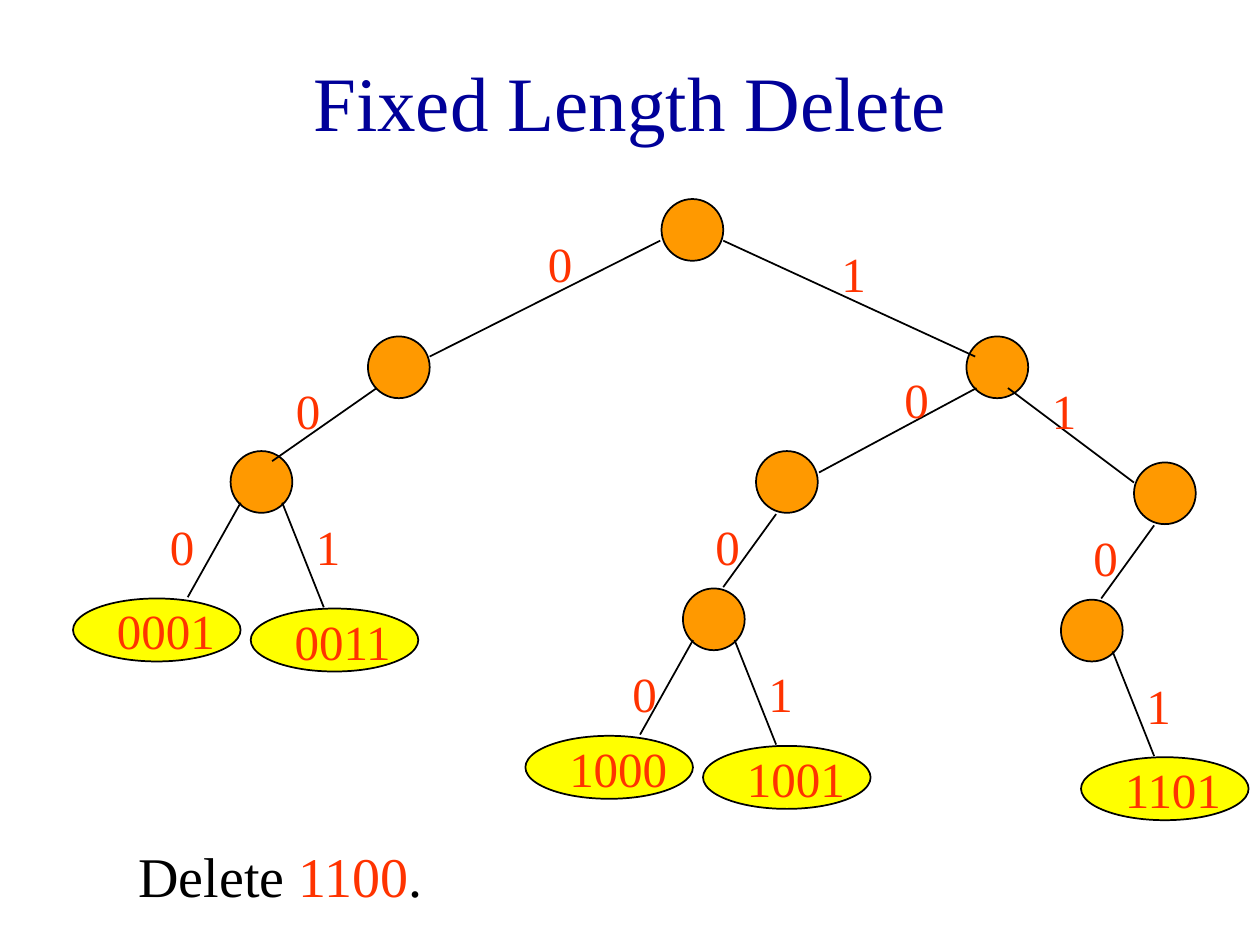
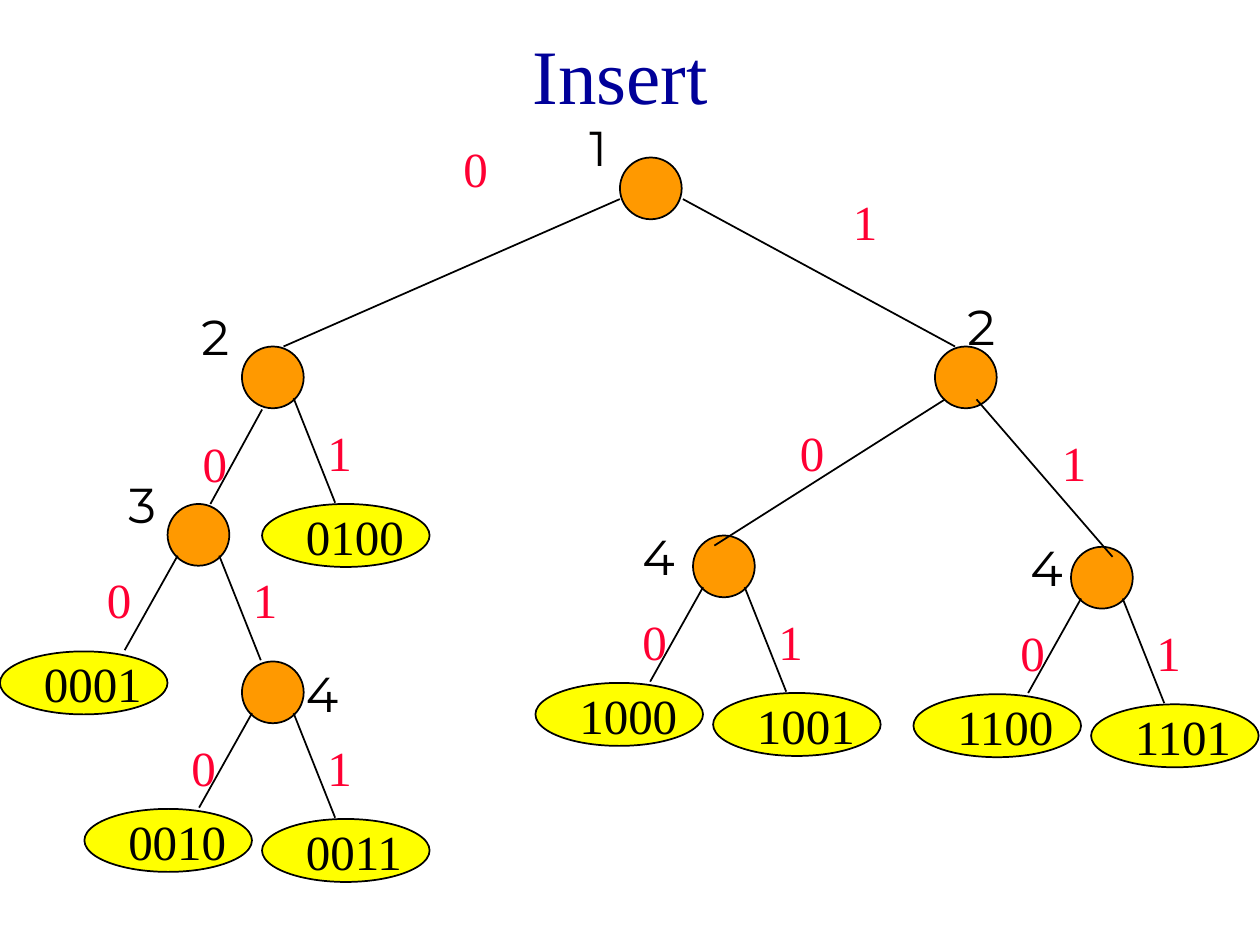
import pptx
import pptx.dml.color
import pptx.enum.shapes
import pptx.enum.text
import pptx.oxml
import pptx.util

Inches = pptx.util.Inches
Pt = pptx.util.Pt
RGB = pptx.dml.color.RGBColor
SHAPE = pptx.enum.shapes.MSO_SHAPE
LINE = pptx.enum.shapes.MSO_CONNECTOR.STRAIGHT
ALIGN = pptx.enum.text.PP_ALIGN
ANCHOR = pptx.enum.text.MSO_ANCHOR

NAVY = RGB(0x00, 0x00, 0x99)
ORANGE = RGB(0xFF, 0x99, 0x00)
YELLOW = RGB(0xFF, 0xFF, 0x00)
RED = RGB(0xFF, 0x33, 0x00)
ROSE = RGB(0xFF, 0x00, 0x33)
BLACK = RGB(0x00, 0x00, 0x00)
INK = RGB(0x01, 0x00, 0x00)

SERIF = "Times New Roman"
TITLE = {"name": SERIF, "size": Pt(44)}
BODY = {"name": SERIF, "size": Pt(32)}
LABEL = {"name": SERIF, "size": Pt(28)}
LEVEL = {"name": "Montserrat", "size": Pt(28)}
FRAME = {"word_wrap": True, "margin_top": Inches(0.1)}
CENTER = {"word_wrap": True, "vertical_anchor": ANCHOR.MIDDLE}

NEAR = (0.5, 0.5)
WIDE = (0.58, 0.42)


def apply(target, values):
    for key, value in values.items():
        setattr(target, key, value)


class Deck:
    """Draws binary tries, holding the colours in use and the current slide."""

    def __init__(self):
        self.pres = pptx.Presentation()
        self.pres.slide_width = Inches(10)
        self.pres.slide_height = Inches(7.5)

    def start(self, title, height, bit, word):
        self.slide = self.pres.slides.add_slide(self.pres.slide_layouts[6])
        self.shapes = self.slide.shapes
        self.tint = bit
        self.ink = word
        box = self.text(0.75, 0.17, 8.5, height, [(title, NAVY)], TITLE, CENTER)
        box.text_frame.paragraphs[0].alignment = ALIGN.CENTER

    def text(self, x, y, width, height, runs, font, frame=FRAME):
        box = self.shapes.add_textbox(*map(Inches, (x, y, width, height)))
        apply(box.text_frame, frame)
        for part, color in runs:
            run = box.text_frame.paragraphs[0].add_run()
            run.text = part
            apply(run.font, font)
            run.font.color.rgb = color
        return box

    def oval(self, x, y, width, height, fill):
        oval = self.shapes.add_shape(SHAPE.OVAL, *map(Inches, (x, y, width, height)))
        oval.shadow.inherit = False
        oval.fill.solid()
        oval.fill.fore_color.rgb = fill
        oval.line.color.rgb = BLACK
        oval.line.width = Pt(1)

    def node(self, x, y):
        self.oval(x, y, 0.49, 0.49, ORANGE)

    def leaf(self, x, y, word):
        self.oval(x, y, 1.33, 0.5, YELLOW)
        self.text(x + 0.25, y - 0.08, 1.17, 0.57, [(word, self.ink)], LABEL)

    def edge(self, *ends):
        line = self.shapes.add_connector(LINE, *map(Inches, ends))
        line.line.color.rgb = BLACK
        line.line.width = Pt(1)
        props = line._element.spPr
        props.append(props.makeelement(pptx.oxml.ns.qn("a:effectLst"), {}))

    def bit(self, x, y, digit):
        self.text(x, y, 0.5, 0.57, [(digit, self.tint)], LABEL)

    def level(self, x, y, digit):
        self.text(x, y, 0.67, 0.57, [(digit, INK)], LEVEL)

    def left(self, x, y, gap=NEAR, word=None):
        self.edge(x + 0.08, y + 0.41, x - 0.34, y + 1.16)
        self.bit(x - gap[0], y + gap[1], "0")
        if word:
            self.leaf(x - 1.25, y + 1.17, word)

    def right(self, x, y, gap=NEAR, word=None):
        self.edge(x + 0.41, y + 0.41, x + 0.74, y + 1.24)
        self.bit(x + 0.58, y + gap[1], "1")
        if word:
            self.leaf(x + 0.16, y + 1.25, word)

    def fork(self, x, y, low, high, gap=NEAR):
        self.left(x, y, gap, low)
        self.right(x, y, gap, high)

    def tree(self, nodes, edges, bits):
        for place in nodes:
            self.node(*place)
        for ends in edges:
            self.edge(*ends)
        for mark in bits:
            self.bit(*mark)


def delete(deck):
    deck.start("Fixed Length Delete", 1.25, RED, RED)
    deck.text(1, 6.58, 3.25, 0.63,
              [("Delete", BLACK), (" 1100", RED), (".", BLACK)], BODY)
    deck.tree(
        [(5.25, 1.58), (2.92, 2.67), (7.67, 2.67), (1.83, 3.58),
         (6, 3.58), (9, 3.67), (5.42, 4.67), (8.42, 4.76)],
        [(5.24, 1.91, 3.41, 2.83), (5.74, 1.91, 7.74, 2.83),
         (2.99, 3.08, 2.16, 3.66), (7.75, 3.08, 6.5, 3.75),
         (8, 3.08, 9, 3.83), (6.16, 4.08, 5.74, 4.66),
         (9.16, 4.17, 8.74, 4.75)],
        [(4.25, 1.75, "0"), (6.58, 1.83, "1"), (2.25, 2.92, "0"),
         (7.08, 2.83, "0"), (8.25, 2.92, "1"), (5.58, 4, "0"),
         (8.58, 4.09, "0")])
    deck.fork(1.83, 3.58, "0001", "0011", WIDE)
    deck.fork(5.42, 4.67, "1000", "1001")
    deck.right(8.42, 4.76, word="1101")


def insert(deck):
    deck.start("Insert ", 0.83, ROSE, BLACK)
    deck.tree(
        [(4.92, 1.25), (1.92, 2.75), (7.42, 2.75), (1.33, 4),
         (5.5, 4.25), (8.5, 4.34), (1.92, 5.25)],
        [(4.92, 1.58, 2.25, 2.75), (5.42, 1.58, 7.58, 2.75),
         (2.08, 3.25, 1.67, 4), (7.5, 3.17, 5.67, 4.33),
         (7.75, 3.17, 8.83, 4.42)],
        [(3.58, 1, "0"), (6.67, 1.42, "1"), (1.51, 3.34, "0"),
         (6.25, 3.25, "0"), (8.33, 3.33, "1")])
    deck.right(1.92, 2.75, word="0100")
    deck.fork(1.33, 4, None, None, WIDE)
    deck.leaf(0, 5.17, "0001")
    deck.fork(1.92, 5.25, "0010", "0011")
    deck.fork(5.5, 4.25, "1000", "1001")
    deck.fork(8.5, 4.34, "1100", "1101")
    for mark in [(4.58, 0.83, "1"), (1.5, 2.33, "2"), (7.58, 2.25, "2"),
                 (0.92, 3.67, "3"), (5, 4.08, "4"), (8.08, 4.17, "4"),
                 (2.33, 5.17, "4")]:
        deck.level(*mark)


def main():
    deck = Deck()
    delete(deck)
    insert(deck)
    deck.pres.save("out.pptx")


if __name__ == "__main__":
    main()
